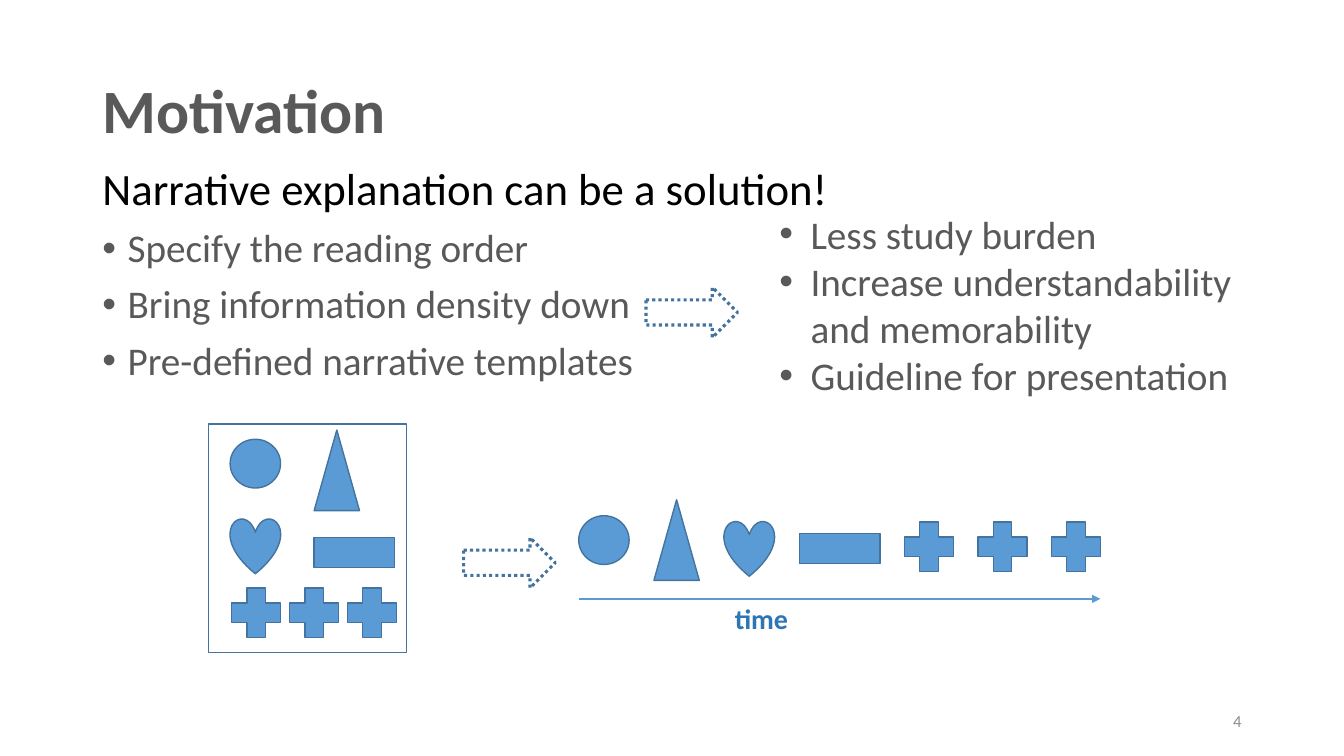
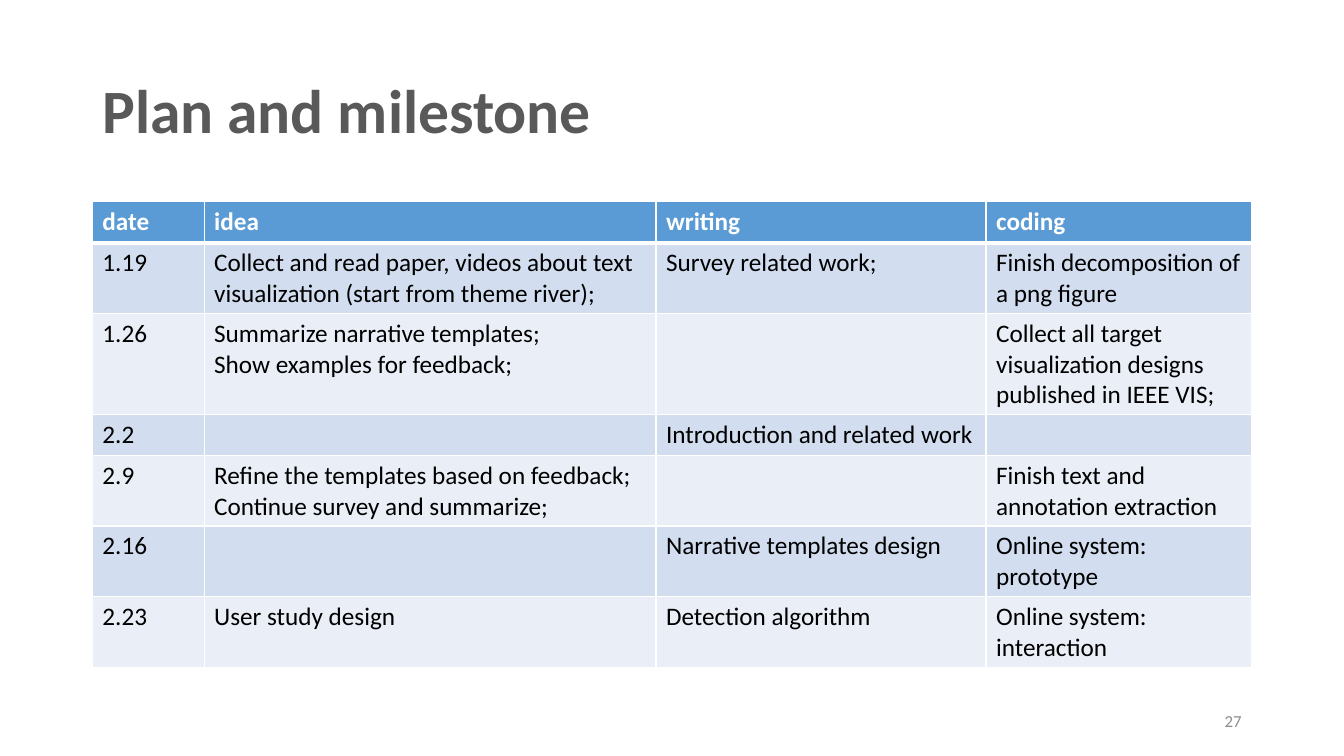
from lxml.etree import SubElement as Sub
from pptx import Presentation
from pptx.dml.color import RGBColor as Rgb
from pptx.enum.dml import MSO_LINE as Dash
from pptx.enum.shapes import MSO_CONNECTOR as Conn, MSO_SHAPE as Kind
from pptx.enum.text import MSO_ANCHOR as Anchor, MSO_AUTO_SIZE as Fit, PP_ALIGN as Align
from pptx.oxml.ns import qn
from pptx.util import Inches, Pt

COLS, ROWS = 160, 90
UNIT = Inches(7.5) / ROWS
LEFT, WIDE = 11, 138
HUES = {
    "text": "595959", "black": "000000", "white": "FFFFFF", "page": "8C8C8C",
    "blue": "5B9BD5", "edge": "43739E", "time": "2E75B6",
    "odd": "D2DEEF", "even": "EAEFF7",
}

# kind, width, height, places in the panel, middle row on the time line
ICONS = [
    (Kind.OVAL, 6, 5.8, [(27.4, 52.3)], 64.3),
    (Kind.ISOSCELES_TRIANGLE, 5.4, 9.6, [(37.4, 51.2)], 64.3),
    (Kind.HEART, 6, 6.6, [(27.4, 61.7)], 65.3),
    (Kind.RECTANGLE, 9.6, 3.6, [(37.4, 64)], 65.3),
    (Kind.CROSS, 5.8, 5.9, [(27.6 + 6.9 * i, 70) for i in range(3)], 65.1),
]
START, END, AXIS = 68.9, 131, 71.3

POINTS = ["Specify the reading order", "Bring information density down",
          "Pre-defined narrative templates"]
GAINS = ["Less study burden", "Increase understandability and memorability",
         "Guideline for presentation"]
SPANS = [13.3, 53.8, 39.3, 31.6]
PLAN = [
    ["date", "idea", "writing", "coding"],
    ["1.19", "Collect and read paper, videos about text visualization (start from theme river);",
     "Survey related work;", "Finish decomposition of a png figure"],
    ["1.26", "Summarize narrative templates;\nShow examples for feedback;", "",
     "Collect all target visualization designs published in IEEE VIS;"],
    ["2.2", "", "Introduction and related work", ""],
    ["2.9", "Refine the templates based on feedback;\nContinue survey and summarize;", "",
     "Finish text and annotation extraction"],
    ["2.16", "", "Narrative templates design", "Online system: prototype"],
    ["2.23", "User study design", "Detection algorithm", "Online system: interaction"],
]


def hue(name):
    return Rgb.from_string(HUES[name])


def grid(*cells):
    return [round(cell * UNIT) for cell in cells]


def place(shape, *box):
    shape.left, shape.top, shape.width, shape.height = grid(*box)


def mark(para, indent):
    """Set a bullet with a hanging indent in inches, or none if it is 0."""
    props = para._p.get_or_add_pPr()
    props.set("marL", str(Inches(indent)))
    props.set("indent", str(-Inches(indent)))
    if indent:
        Sub(props, qn("a:buFont"), typeface="Arial")
        Sub(props, qn("a:buChar"), char="•")
    else:
        Sub(props, qn("a:buNone"))


def write(frame, text, size=18, color="text", bold=False, align=Align.LEFT,
          indent=0, line=1, gap=0, more=False):
    """Fill the frame with one paragraph a line; more adds to what is there."""
    for row, words in enumerate(text.split("\n")):
        first = row == 0 and not more
        para = frame.paragraphs[0] if first else frame.add_paragraph()
        mark(para, indent)
        para.alignment, para.line_spacing = align, line
        para.space_before = Pt(0 if first else gap)
        run = para.add_run()
        run.text = words
        font = run.font
        font.name, font.size, font.bold = "Calibri", Pt(size), bold
        font.color.rgb = hue(color)


def label(slide, text, box, anchor=Anchor.TOP, wrap=True, **form):
    frame = slide.shapes.add_textbox(*grid(*box)).text_frame
    frame.word_wrap, frame.vertical_anchor = wrap, anchor
    write(frame, text, **form)


def holder(shape, box, anchor):
    """Move a placeholder and return its text frame."""
    place(shape, *box)
    frame = shape.text_frame
    frame.auto_size, frame.vertical_anchor = Fit.NONE, anchor
    return frame


def start(deck, layout, title, page):
    slide = deck.slides.add_slide(deck.slide_layouts[layout])
    frame = holder(slide.shapes.title, (LEFT, 4.8, WIDE, 17.4), Anchor.MIDDLE)
    write(frame, title, size=44, bold=True, line=0.9)
    label(slide, page, (113, 83.4, 36, 4.8), Anchor.MIDDLE,
          size=12, color="page", align=Align.RIGHT)
    return slide


def draw(slide, kind, box, fill="blue", weight=1, dash=None):
    shape = slide.shapes.add_shape(kind, *grid(*box))
    shape.shadow.inherit = False
    if fill:
        shape.fill.solid()
        shape.fill.fore_color.rgb = hue(fill)
    else:
        shape.fill.background()
    shape.line.color.rgb, shape.line.width = hue("edge"), Pt(weight)
    if dash:
        shape.line.dash_style = dash
    if kind == Kind.CROSS:
        shape.adjustments[0] = 0.31


def arrow(slide, left, top):
    draw(slide, Kind.RIGHT_ARROW, (left, top, 10.9, 6), None, 2.25, Dash.ROUND_DOT)


def axis(slide):
    ends = grid(START, AXIS, END, AXIS)
    line = slide.shapes.add_connector(Conn.STRAIGHT, *ends)
    line.line.color.rgb, line.line.width = hue("blue"), Pt(1.5)
    Sub(line.line._get_or_add_ln(), qn("a:tailEnd"), type="triangle")
    Sub(line._element.spPr, qn("a:effectLst"))


def icons(slide):
    """Draw each icon in the panel and again, evenly spaced, on the time line."""
    draw(slide, Kind.RECTANGLE, (24.8, 50.5, 23.6, 27.2), None)
    count = sum(len(spots) for *_, spots, _ in ICONS)
    total = sum(wide * len(spots) for _, wide, _, spots, _ in ICONS)
    gap = (END - START - total) / (count - 1)
    left = START
    for kind, wide, high, spots, middle in ICONS:
        for spot in spots:
            draw(slide, kind, (*spot, wide, high))
            draw(slide, kind, (left, middle - high / 2, wide, high))
            left += wide + gap


def border(cell, top, base):
    props = cell._tc.get_or_add_tcPr()
    for side, weight in zip("LRTB", (1, 1, top, base)):
        line = Sub(props, qn("a:ln" + side), w=str(Pt(weight)))
        Sub(Sub(line, qn("a:solidFill")), qn("a:srgbClr"), val=HUES["white"])


def table(slide, rows, spans, top, high):
    box = grid(LEFT, top, sum(spans), high * len(rows))
    sheet = slide.shapes.add_table(len(rows), len(spans), *box).table
    for col, span in zip(sheet.columns, grid(*spans)):
        col.width = span
    for r, row in enumerate(rows):
        head = r == 0
        fill = "blue" if head else ("odd" if r % 2 else "even")
        for c, text in enumerate(row):
            cell = sheet.cell(r, c)
            border(cell, 3 if r == 1 else 1, 3 if head else 1)
            cell.fill.solid()
            cell.fill.fore_color.rgb = hue(fill)
            if text:
                write(cell.text_frame, text, color="white" if head else "black", bold=head)


def motive(deck):
    slide = start(deck, 1, "Motivation", "4")
    body = holder(slide.placeholders[1], (LEFT, 19.2, WIDE, 57.1), Anchor.TOP)
    write(body, "Narrative explanation can be a solution!", size=32, color="black", line=0.9)
    write(body, "\n".join(POINTS), size=28, indent=0.25, line=0.9, gap=10, more=True)
    label(slide, "\n".join(GAINS), (91.6, 24.4, 61.4, 23.9), size=28, indent=0.31)
    arrow(slide, 76.9, 34.2)
    icons(slide)
    arrow(slide, 55.2, 64)
    axis(slide)
    label(slide, "time", (86.3, 71, 8.9, 5.3), wrap=False, size=20, color="time", bold=True)


def plan(deck):
    slide = start(deck, 5, "Plan and milestone", "27")
    table(slide, PLAN, SPANS, 24, 4.9)


def main():
    deck = Presentation()
    deck.slide_width, deck.slide_height = grid(COLS, ROWS)
    motive(deck)
    plan(deck)
    deck.save("out.pptx")


if __name__ == "__main__":
    main()
